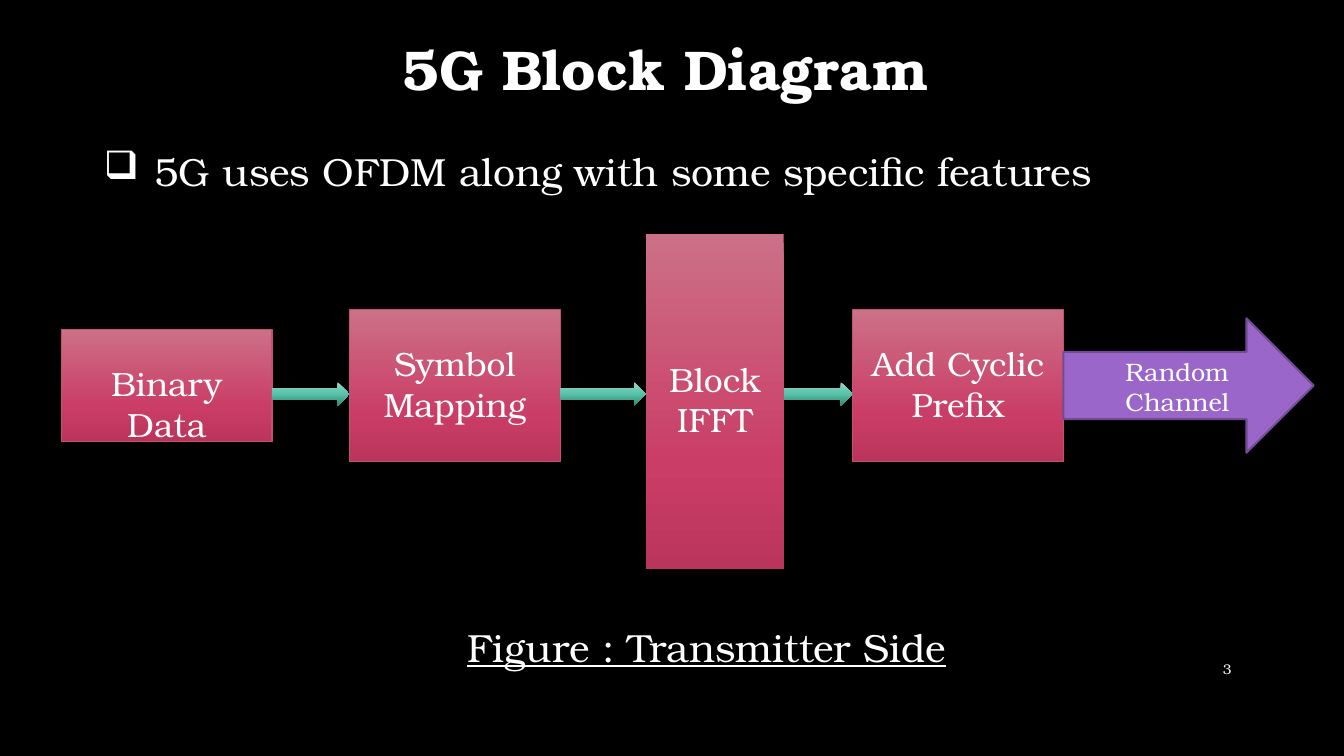
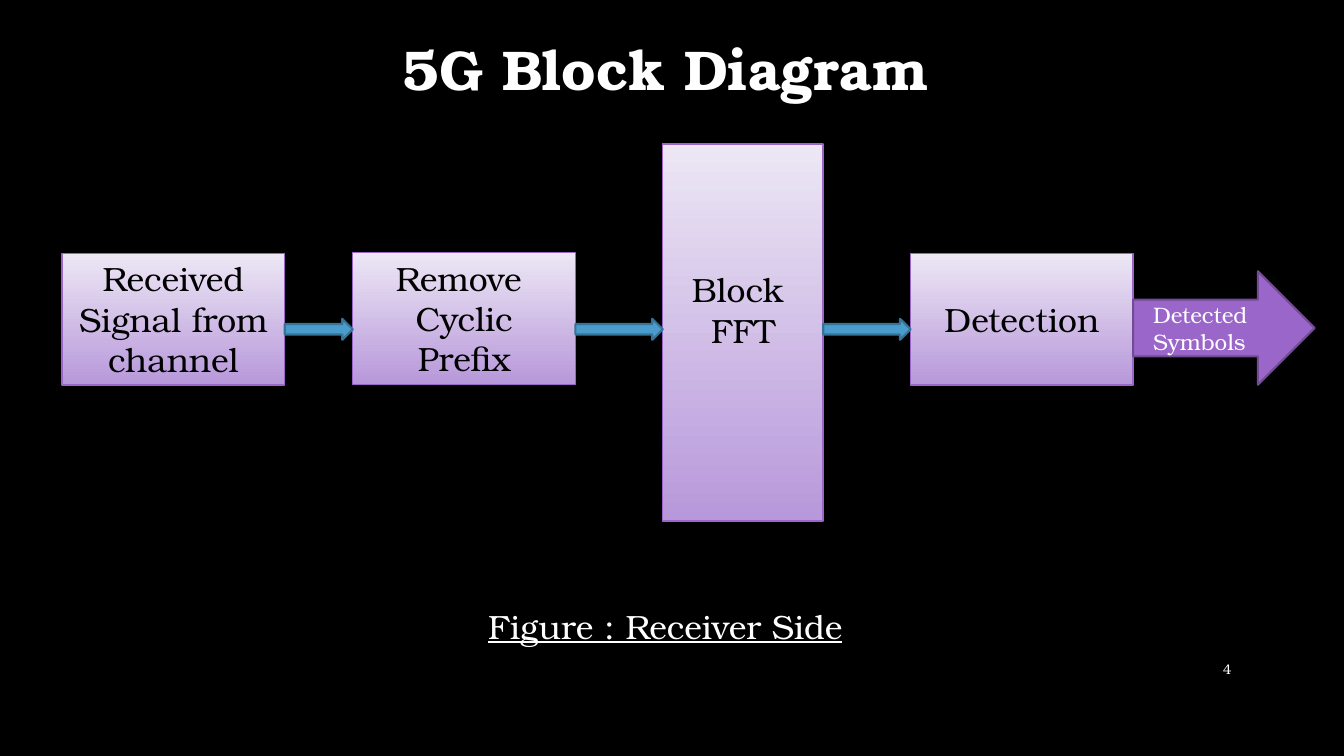
"""Build two slides that show the 5G transmitter and receiver chains."""
from dataclasses import dataclass

from lxml.etree import SubElement as Sub
from pptx import Presentation
from pptx.dml.color import RGBColor as Rgb
from pptx.enum.shapes import MSO_SHAPE as Kind
from pptx.enum.text import MSO_ANCHOR as Anchor, MSO_AUTO_SIZE as Auto, PP_ALIGN as Align
from pptx.oxml.ns import qn
from pptx.util import Inches, Pt

FONT = "TeX Gyre Bonum"
BLACK = Rgb(0x00, 0x00, 0x00)
WHITE = Rgb(0xFF, 0xFF, 0xFF)
ROSE = Rgb(0xC5, 0x4F, 0x71)
VIOLET = Rgb(0x9A, 0x66, 0xCA)
PLUM = Rgb(0x72, 0x4B, 0x95)
BLUE = Rgb(0x4A, 0x9C, 0xCC)
NAVY = Rgb(0x37, 0x73, 0x97)
PINKS = ((0, Rgb(0xCC, 0x70, 0x87)), (69, Rgb(0xCA, 0x3D, 0x66)), (100, Rgb(0xBA, 0x35, 0x5B)))
TEALS = ((0, Rgb(0x96, 0xD8, 0xC8)), (52, Rgb(0x55, 0xC0, 0xA6)), (100, Rgb(0x31, 0x84, 0x70)))
LILACS = ((0, Rgb(0xED, 0xE7, 0xF5)), (100, Rgb(0xB7, 0x98, 0xDA)))

WIDE, HIGH = Inches(13.33), Inches(7.5)
COLS, ROWS = 160, 90


@dataclass
class Box:
    """A place on the grid, in columns and rows."""
    left: float
    top: float
    wide: float
    high: float

    def emu(self) -> tuple:
        """Give the place in slide units."""
        col, row = WIDE / COLS, HIGH / ROWS
        return tuple(round(n) for n in (self.left * col, self.top * row,
                                        self.wide * col, self.high * row))


@dataclass
class Style:
    """The paint of a shape: one colour or gradient stops, and its line."""
    fill: object
    line: object = None
    width: float = 1


@dataclass
class Block:
    """One step of a chain, centred on a row, with its text set down by drop."""
    text: str
    left: float
    wide: float
    high: float
    mid: float
    drop: float = 0.6
    edged: bool = True


@dataclass
class Label:
    """A line of text at a place."""
    text: str
    box: Box
    size: float


@dataclass
class Flow:
    """All that one slide shows."""
    blocks: list
    paint: Style
    ink: Rgb
    link: Style
    axis: float
    thick: float
    exit: Box
    out: Label
    note: Label
    page: str
    lead: str = ""


def write(shape, text: str, size: float, ink: Rgb = WHITE, align=Align.CENTER,
          bold: bool = False, under: bool = False) -> None:
    """Set and format the text of a shape."""
    frame = shape.text_frame
    frame.text = text
    frame.word_wrap = True
    frame.auto_size = Auto.NONE
    frame.vertical_anchor = Anchor.TOP
    for para in frame.paragraphs:
        para.alignment = align
        for run in para.runs:
            font = run.font
            font.name, font.size, font.bold = FONT, Pt(size), bold
            font.underline = under
            font.color.rgb = ink


def label(slide, item: Label, **look):
    """Add a text box."""
    box = slide.shapes.add_textbox(*item.box.emu())
    write(box, item.text, item.size, **look)
    return box


def draw(slide, kind, box: Box, style: Style, edged: bool = True):
    """Add a painted shape."""
    shape = slide.shapes.add_shape(kind, *box.emu())
    shape.shadow.inherit = False
    fill = shape.fill
    if isinstance(style.fill, Rgb):
        fill.solid()
        fill.fore_color.rgb = style.fill
    else:
        fill.gradient()
        fill.gradient_angle = 270
        stops = shape._element.spPr.find(".//" + qn("a:gsLst"))
        for old in list(stops):
            stops.remove(old)
        for pos, hue in style.fill:
            stop = Sub(stops, qn("a:gs"), pos=str(pos * 1000))
            Sub(stop, qn("a:srgbClr"), val=str(hue))
    if style.line is None or not edged:
        shape.line.fill.background()
    else:
        shape.line.color.rgb = style.line
        shape.line.width = Pt(style.width)
    return shape


def bullet(para) -> None:
    """Give a paragraph a box bullet and a hanging indent."""
    props = para._p.get_or_add_pPr()
    props.set("marL", str(Inches(0.5)))
    props.set("indent", str(-Inches(0.5)))
    Sub(props, qn("a:buChar"), char="❑")


def build(deck, flow: Flow) -> None:
    """Add the slide of one chain."""
    slide = deck.slides.add_slide(deck.slide_layouts[5])
    title = slide.shapes.title
    title.left, title.top, title.width, title.height = Box(32.4, 3.5, 93.7, 9.2).emu()
    write(title, "5G Block Diagram", 40, bold=True)
    if flow.lead:
        lead = label(slide, Label(flow.lead, Box(11.2, 16.9, 140.9, 6.8), 28), align=Align.LEFT)
        bullet(lead.text_frame.paragraphs[0])
    for block in flow.blocks:
        box = Box(block.left, block.mid - block.high / 2, block.wide, block.high)
        shape = draw(slide, Kind.RECTANGLE, box, flow.paint, block.edged)
        write(shape, block.text, 24, flow.ink)
        shape.text_frame.margin_top = round(block.drop * HIGH / ROWS)
        shape.text_frame.margin_bottom = 0
    for one, two in zip(flow.blocks, flow.blocks[1:]):
        start = one.left + one.wide
        box = Box(start, flow.axis - flow.thick / 2, two.left - start, flow.thick)
        draw(slide, Kind.RIGHT_ARROW, box, flow.link)
    draw(slide, Kind.RIGHT_ARROW, flow.exit, Style(VIOLET, PLUM, 1.5))
    label(slide, flow.out, align=Align.LEFT)
    label(slide, flow.note, under=True)
    page = label(slide, Label(flow.page, Box(138, 77.2, 9.8, 4.8), 10), align=Align.RIGHT)
    page.text_frame.vertical_anchor = Anchor.MIDDLE


SEND = Flow(
    blocks=[Block("Binary Data", 7.3, 25.1, 13.3, 45.9, 4),
            Block("Symbol Mapping", 41.6, 25.1, 18.1, 45.9, 4),
            Block("Block\nIFFT", 76.9, 16.4, 40, 47.8, 14.9, False),
            Block("Add Cyclic Prefix", 101.5, 25.1, 18.1, 45.9, 4)],
    paint=Style(PINKS, ROSE), ink=WHITE, link=Style(TEALS), axis=46.9, thick=2.8,
    exit=Box(126.6, 37.9, 29.8, 16),
    out=Label("Random Channel", Box(132.8, 41.8, 17.2, 8.5), 18),
    note=Label("Figure : Transmitter Side", Box(41.6, 73.6, 85, 6.8), 28),
    page="3", lead="5G uses OFDM along with some specific features")

TAKE = Flow(
    blocks=[Block("Received Signal from channel", 7.4, 26.5, 15.7, 38),
            Block("Remove \nCyclic\nPrefix", 42, 26.5, 15.7, 37.9),
            Block("Block \nFFT", 78.9, 19.1, 44.9, 39.6, 14.9),
            Block("Detection", 108.4, 26.5, 15.7, 38, 5.4)],
    paint=Style(LILACS, VIOLET), ink=BLACK, link=Style(BLUE, NAVY, 1.5), axis=39.2, thick=2.5,
    exit=Box(134.9, 32.3, 21.6, 13.5),
    out=Label("Detected Symbols", Box(136.1, 35.3, 13.8, 7.7), 16),
    note=Label("Figure : Receiver Side", Box(40.1, 71.5, 78.2, 6), 24),
    page="4")


def main() -> None:
    """Build and save the deck."""
    deck = Presentation()
    deck.slide_width, deck.slide_height = WIDE, HIGH
    ground = deck.slide_master.background.fill
    ground.solid()
    ground.fore_color.rgb = BLACK
    for flow in (SEND, TAKE):
        build(deck, flow)
    deck.save("out.pptx")


if __name__ == "__main__":
    main()
